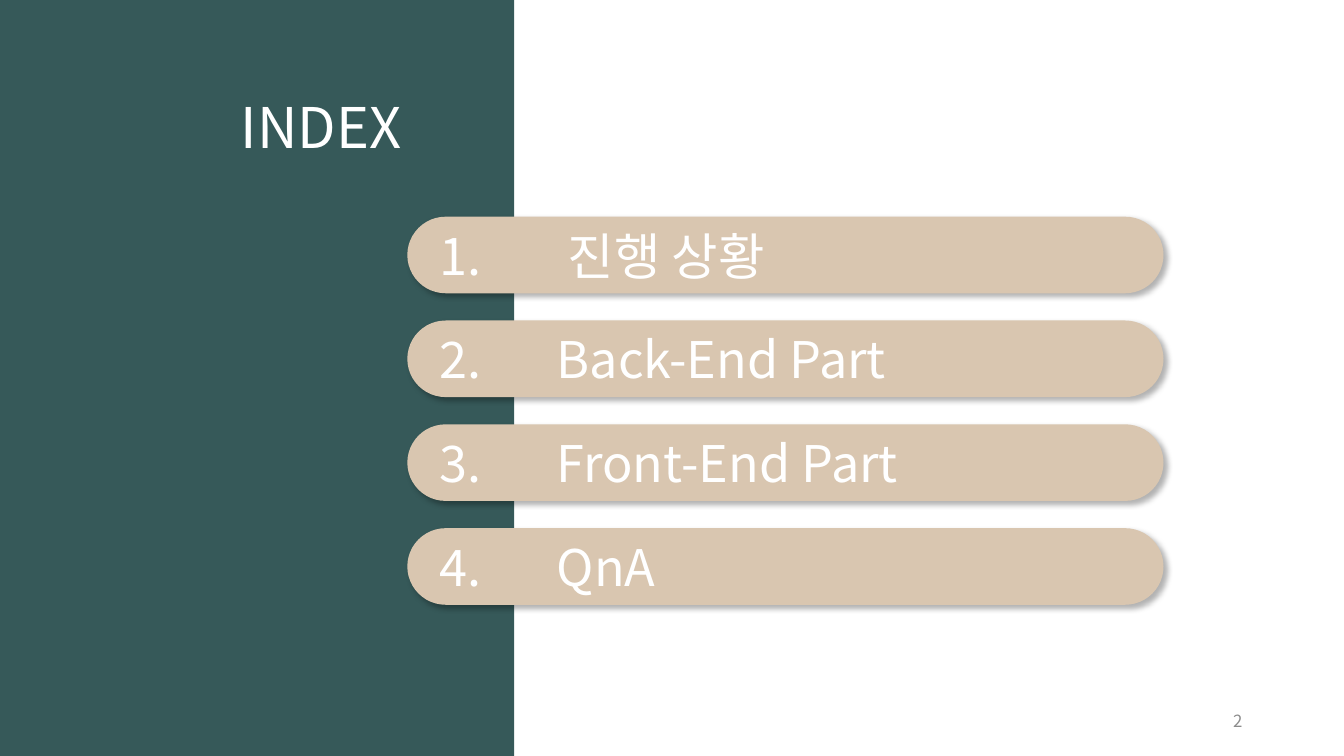
import pptx
import pptx.util
import pptx.dml.color
import pptx.enum.shapes
import pptx.enum.text
import pptx.oxml
import pptx.oxml.ns
from lxml import etree

Inches = pptx.util.Inches
Kind = pptx.enum.shapes.MSO_SHAPE
Align = pptx.enum.text.PP_ALIGN
Anchor = pptx.enum.text.MSO_ANCHOR

# Content: number, label, tab stop of the label in inches
TITLE = "INDEX"
ITEMS = [
    ("1.", "진행 상황", 1.27),
    ("2.", "Back-End Part", 1.16),
    ("3.", "Front-End Part", 1.16),
    ("4.", "QnA", 1.16),
]
PAGE = "2"

THEME = {
    "font": "Noto Sans CJK KR",
    "panel": "365959", "bar": "D9C6B0", "light": "FFFFFF",
    "page": "8C8C8C", "shade": "000000",
    "title_pt": 40, "item_pt": 36, "page_pt": 12,
}

# Layout in inches
SIZE = (13.33, 7.5)
PANEL = (0, 0, 5.1, 7.5)
HEAD = (2.29, 0.87, 2.1, 0.77)
FOOT = (9.42, 6.95, 3, 0.4)
BAR = (4.04, 2.15, 7.5, 0.76)
STEP = 1.03
INSET = 0.21


def color(name):
    return pptx.dml.color.RGBColor.from_string(THEME[name])


def add_block(slide, kind, box, fill):
    shape = slide.shapes.add_shape(kind, *map(Inches, box))
    shape.shadow.inherit = False
    shape.fill.solid()
    shape.fill.fore_color.rgb = color(fill)
    shape.line.fill.background()
    return shape


def add_run(shape, text, size, ink, align=Align.LEFT):
    para = shape.text_frame.paragraphs[0]
    para.alignment = align
    run = para.add_run()
    run.text = text
    run.font.name = THEME["font"]
    run.font.size = pptx.util.Pt(THEME[size])
    run.font.color.rgb = color(ink)
    east = etree.SubElement(run.font._element, pptx.oxml.ns.qn("a:ea"))
    east.set("typeface", THEME["font"])
    return para


def add_label(slide, box, text, size, ink, anchor, align):
    label = slide.shapes.add_textbox(*map(Inches, box))
    label.text_frame.word_wrap = True
    label.text_frame.vertical_anchor = anchor
    add_run(label, text, size, ink, align)


def add_shade(shape):
    tree = shape._element.spPr.find(pptx.oxml.ns.qn("a:effectLst"))
    tree.append(pptx.oxml.parse_xml(
        f'<a:outerShdw {pptx.oxml.ns.nsdecls("a")} blurRad="50800" '
        'dist="38100" dir="2700000" algn="tl" rotWithShape="0">'
        f'<a:srgbClr val="{THEME["shade"]}"><a:alpha val="30000"/>'
        '</a:srgbClr></a:outerShdw>'))


def add_tab(para, stop):
    props = para._p.get_or_add_pPr()
    tabs = etree.SubElement(props, pptx.oxml.ns.qn("a:tabLst"))
    tab = etree.SubElement(tabs, pptx.oxml.ns.qn("a:tab"))
    tab.set("pos", str(Inches(stop)))
    tab.set("algn", "l")


def main():
    deck = pptx.Presentation()
    deck.slide_width, deck.slide_height = map(Inches, SIZE)
    slide = deck.slides.add_slide(deck.slide_layouts[6])

    # Side panel and title
    add_block(slide, Kind.RECTANGLE, PANEL, "panel")
    add_label(slide, HEAD, TITLE, "title_pt", "light", Anchor.TOP, Align.LEFT)

    # Index bars
    left, top, width, height = BAR
    for row, (num, name, stop) in enumerate(ITEMS):
        box = (left, top + row * STEP, width, height)
        bar = add_block(slide, Kind.ROUNDED_RECTANGLE, box, "bar")
        bar.adjustments[0] = 0.5
        add_shade(bar)
        frame = bar.text_frame
        frame.word_wrap = True
        frame.vertical_anchor = Anchor.MIDDLE
        frame.margin_left = Inches(INSET)
        para = add_run(bar, f"{num}\t{name}", "item_pt", "light")
        add_tab(para, stop)

    # Page number
    add_label(slide, FOOT, PAGE, "page_pt", "page", Anchor.MIDDLE, Align.RIGHT)

    deck.save("out.pptx")


if __name__ == "__main__":
    main()
